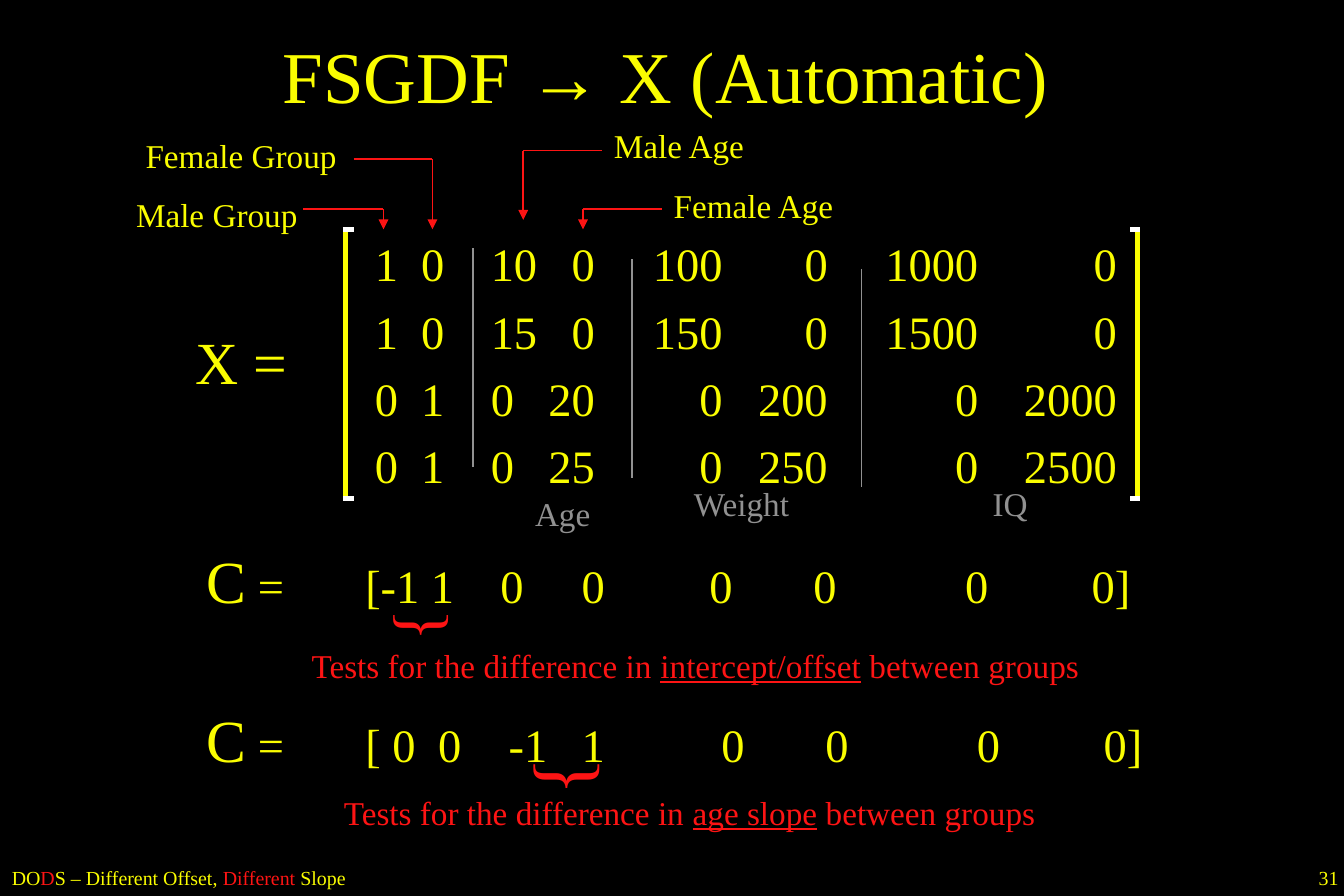
from pptx import Presentation
from pptx.dml.color import RGBColor as RGB
from pptx.enum.shapes import MSO_CONNECTOR as LINE
from pptx.enum.text import MSO_ANCHOR as ANCHOR, PP_ALIGN as ALIGN
from pptx.oxml.ns import qn
from pptx.util import Inches, Pt
from lxml.etree import SubElement as Sub

GOLD = RGB(0xFA, 0xFD, 0x00)
RED = RGB(0xFD, 0x14, 0x14)
GRAY = RGB(0x91, 0x91, 0x91)
WHITE = RGB(0xFF, 0xFF, 0xFF)
BLACK = RGB(0, 0, 0)
FONT = "Times New Roman"

TITLE = [("FSGDF ", {}), ("→", {"name": "Arial"}), (" X (Automatic)", {})]
FOOT = [("DO", {}), ("D", {"color": RED}), ("S – Different Offset, ", {}),
        ("Different", {"color": RED}), (" Slope", {})]

MATRIX = [
    (1, 0, 10, 0, 100, 0, 1000, 0),
    (1, 0, 15, 0, 150, 0, 1500, 0),
    (0, 1, 0, 20, 0, 200, 0, 2000),
    (0, 1, 0, 25, 0, 250, 0, 2500),
]
STOPS = [(0.58, "r"), (0.97, "l"), (1.84, "r"), (2.91, "r"),
         (3.79, "r"), (5.05, "r"), (6.21, "r")]

CONTRASTS = [
    (4.5, ["[-1 1", "0", "0", "0", "0", "0", "0]"],
     [1.33, 2.46, 3.14, 4.21, 5.08, 6.35, 7.41]),
    (5.83, ["[ 0", "0", "-1", "1", "0", "0", "0", "0]"],
     [1.33, 1.94, 2.53, 3.14, 4.31, 5.18, 6.45, 7.51]),
]
TESTS = [(2.51, 5.35, 6.65, "intercept/offset"), (2.78, 6.58, 6.01, "age slope")]
BRACES = [(3.36, 4.85, 0.46, 0.77, 40), (4.59, 6.03, 0.47, 0.9, 48)]

LABELS = [
    ("Male Group", 1.04, 1.58, 1.55, GOLD),
    ("Female Group", 1.12, 1.08, 1.8, GOLD),
    ("Female Age", 5.54, 1.5, 1.55, GOLD),
    ("Male Age", 5.04, 1, 1.3, GOLD),
    ("Weight", 5.71, 4, 1.02, GRAY),
    ("Age", 4.38, 4.08, 0.75, GRAY),
    ("IQ", 8.21, 4, 0.55, GRAY),
]
ARROWS = [(2.54, 3.21, 1.75, 1.92), (2.96, 3.62, 1.33, 1.92),
          (5.54, 4.88, 1.75, 1.92), (5.04, 4.38, 1.26, 1.84)]
BRACKETS = [(2.89, 2.87, 2.96), (9.52, 9.54, 9.46)]
TOP, BOTTOM = 1.92, 4.17
RULES = [(3.96, 2.08), (5.29, 2.17), (7.21, 2.25)]

deck = Presentation()
deck.slide_width, deck.slide_height = Inches(11.25), Inches(7.5)
slide = deck.slides.add_slide(deck.slide_layouts[6])
slide.background.fill.solid()
slide.background.fill.fore_color.rgb = BLACK


def add_text(x, y, w, h, rows, size, color=GOLD, wrap=False, stops=(), gap=0):
    box = slide.shapes.add_textbox(*map(Inches, (x, y, w, h)))
    frame = box.text_frame
    frame.word_wrap = wrap
    for i, row in enumerate(rows):
        para = frame.add_paragraph() if i else frame.paragraphs[0]
        if stops:
            tabs = Sub(para._p.get_or_add_pPr(), qn("a:tabLst"))
            for at, side in stops:
                Sub(tabs, qn("a:tab"), pos=str(Inches(at)), algn=side)
        if i:
            para.space_before = Pt(gap)
        for words, extra in row:
            run = para.add_run()
            run.text = words
            look = {"name": FONT, "size": Pt(size), "color": color, **extra}
            run.font.color.rgb = look.pop("color")
            for key, value in look.items():
                setattr(run.font, key, value)
    return box


def add_line(x1, y1, x2, y2, color, width=1, arrow=False):
    line = slide.shapes.add_connector(LINE.STRAIGHT, *map(Inches, (x1, y1, x2, y2)))
    line.line.color.rgb = color
    line.line.width = Pt(width)
    if arrow:
        Sub(line.line._get_or_add_ln(), qn("a:tailEnd"), type="triangle")
    Sub(line._element.spPr, qn("a:effectLst"))


title = add_text(0.79, 0, 9.56, 1.25, [TITLE], 44, wrap=True)
title.text_frame.vertical_anchor = ANCHOR.MIDDLE
title.text_frame.paragraphs[0].alignment = ALIGN.CENTER
add_text(0, 7.2, 3.08, 0.3, [FOOT], 12)
number = add_text(10.94, 7.2, 0.31, 0.3, [[("31", {})]], 12)
number.text_frame.margin_right = 0

rows = [[("\t".join(map(str, row)), {})] for row in MATRIX]
add_text(3.04, 1.92, 7.17, 2.33, rows, 28, wrap=True, stops=STOPS, gap=7)
add_text(1.54, 2.67, 1.08, 0.7, [[("X =", {})]], 36, wrap=True)

for y, cells, stops in CONTRASTS:
    row = [("C", {"size": Pt(36)}), (" =\t" + "\t".join(cells), {})]
    add_text(1.63, y, 8.3, 0.7, [row], 28, wrap=True,
             stops=[(at, "l") for at in stops])

for x, y, w, h, size in BRACES:
    add_text(x, y, w, h, [[("}", {})]], size, RED).rotation = 90

for x, y, w, term in TESTS:
    row = [("Tests for the difference in ", {}), (term, {"underline": True}),
           (" between groups", {})]
    add_text(x, y, w, 0.44, [row], 20, RED)

for words, x, y, w, color in LABELS:
    add_text(x, y, w, 0.44, [[(words, {})]], 20, color, wrap=True)

for start, end, y, tip in ARROWS:
    add_line(start, y, end, y, RED)
    add_line(end, y, end, tip, RED, arrow=True)

for x, back, front in BRACKETS:
    add_line(x, TOP, x, BOTTOM, GOLD, 3)
    for y in (TOP, BOTTOM):
        add_line(back, y, front, y, WHITE, 3)

for x, y in RULES:
    add_line(x, y, x, y + 1.83, GRAY)

deck.save("out.pptx")
